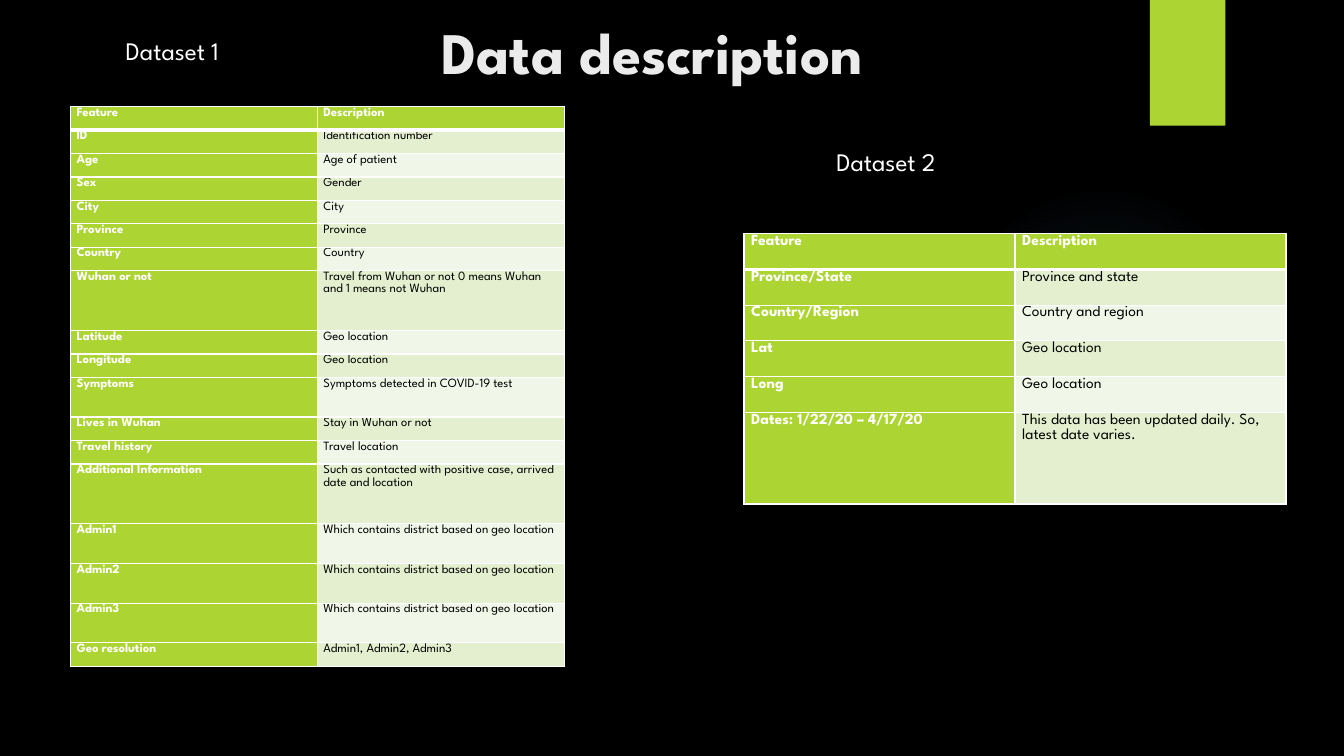
from lxml import etree
from pptx import Presentation, util as u
from pptx.dml.color import RGBColor
from pptx.enum import shapes, text
from pptx.oxml import parse_xml
from pptx.oxml.ns import nsdecls, qn

GREEN, WHITE, BLACK = "ACD433", "FFFFFF", "000000"
BANDS = ["E3EFCE", "F1F7E8"]
PATIENT_FEATURES = [
    ("Feature", "Description", 0.59),
    ("ID", "Identification number", 0.59),
    ("Age", "Age of patient", 0.59),
    ("Sex", "Gender", 0.59),
    ("City", "City", 0.59),
    ("Province", "Province", 0.59),
    ("Country", "Country", 0.59),
    ("Wuhan or not", "Travel from Wuhan or not 0 means Wuhan and 1 means not Wuhan", 1.51),
    ("Latitude", "Geo location", 0.59),
    ("Longitude", "Geo location", 0.59),
    ("Symptoms", "Symptoms detected in COVID-19 test", 1),
    ("Lives in Wuhan", "Stay in Wuhan or not", 0.59),
    ("Travel history", "Travel location", 0.59),
    ("Additional Information", "Such as contacted with positive case, arrived date and location", 1.51),
    ("Admin1", "Which contains district based on geo location", 1),
    ("Admin2", "Which contains district based on geo location", 1),
    ("Admin3", "Which contains district based on geo location", 1),
    ("Geo resolution", "Admin1, Admin2, Admin3", 0.59),
]
REGION_FEATURES = [
    ("Feature", "Description", 0.9),
    ("Province/State", "Province and state", 0.9),
    ("Country/Region", "Country and region", 0.9),
    ("Lat", "Geo location", 0.9),
    ("Long", "Geo location", 0.9),
    ("Dates: 1/22/20 – 4/17/20", "This data has been updated daily. So, latest date varies.", 2.31),
]


def colour(value):
    return RGBColor.from_string(value)


class Page:
    font = "League Spartan"

    def __init__(self, deck):
        self.slide = deck.slides.add_slide(deck.slide_layouts[5])
        fill = self.slide.background.fill
        fill.solid()
        fill.fore_color.rgb = colour(BLACK)

    def style(self, para, size, value, bold=False):
        for span in para.runs:
            span.font.name = self.font
            span.font.size = u.Pt(size)
            span.font.bold = bold
            span.font.color.rgb = colour(value)

    def shape(self, kind, left, top, width, height):
        shape = self.slide.shapes.add_shape(
            kind, u.Cm(left), u.Cm(top), u.Cm(width), u.Cm(height))
        shape.shadow.inherit = False
        shape.line.fill.background()
        shape.fill.solid()
        shape.fill.fore_color.rgb = colour(GREEN)
        return shape

    def glow(self, left, top, size, value):
        shape = self.shape(shapes.MSO_SHAPE.OVAL, left, top, size, size)
        stops = "".join(
            f'<a:gs pos="{place * 1000}"><a:srgbClr val="{value}">'
            f'<a:alpha val="{alpha * 1000}"/></a:srgbClr></a:gs>'
            for place, alpha in [(0, 7), (36, 6), (69, 0), (100, 0)])
        gradient = parse_xml(
            f'<a:gradFill {nsdecls("a")}><a:gsLst>{stops}</a:gsLst>'
            '<a:path path="circle"><a:fillToRect l="50000" t="50000" '
            'r="50000" b="50000"/></a:path></a:gradFill>')
        solid = shape.element.spPr.find(qn("a:solidFill"))
        solid.getparent().replace(solid, gradient)

    def tab(self, left, top, width, height):
        shape = self.shape(shapes.MSO_SHAPE.RECTANGLE, left, top, width, height)
        effects = shape.element.spPr.find(qn("a:effectLst"))
        effects.append(parse_xml(
            f'<a:outerShdw {nsdecls("a")} blurRad="38100" dist="25400" dir="5400000">'
            '<a:srgbClr val="000000"><a:alpha val="45000"/></a:srgbClr></a:outerShdw>'))

    def title(self, words, left, top, width, height):
        box = self.slide.shapes.title
        box.left, box.top = u.Cm(left), u.Cm(top)
        box.width, box.height = u.Cm(width), u.Cm(height)
        frame = box.text_frame
        frame.text = words
        frame.auto_size = text.MSO_AUTO_SIZE.NONE
        frame.vertical_anchor = text.MSO_ANCHOR.TOP
        frame.paragraphs[0].alignment = text.PP_ALIGN.LEFT
        self.style(frame.paragraphs[0], 42, "EBEBEB", True)

    def label(self, words, left, top, width):
        box = self.slide.shapes.add_textbox(u.Cm(left), u.Cm(top), u.Cm(width), u.Cm(1.03))
        frame = box.text_frame
        frame.text = words
        frame.word_wrap = True
        frame.auto_size = text.MSO_AUTO_SIZE.SHAPE_TO_FIT_TEXT
        self.style(frame.paragraphs[0], 18, WHITE)

    def borders(self, cell, bottom):
        properties = cell._tc.get_or_add_tcPr()
        sides = [("lnL", 1), ("lnR", 1), ("lnT", 1), ("lnB", bottom)]
        for place, (side, width) in enumerate(sides):
            line = etree.Element(qn(f"a:{side}"), w=str(u.Pt(width)))
            fill = etree.SubElement(line, qn("a:solidFill"))
            etree.SubElement(fill, qn("a:srgbClr"), val=WHITE)
            properties.insert(place, line)

    def table(self, rows, left, top, column, size, inset):
        height = sum(row[2] for row in rows)
        table = self.slide.shapes.add_table(
            len(rows), 2, u.Cm(left), u.Cm(top), u.Cm(2 * column), u.Cm(height)).table
        for part in table.columns:
            part.width = u.Cm(column)
        for row, (*words, row_height) in enumerate(rows):
            table.rows[row].height = u.Cm(row_height)
            for side, content in enumerate(words):
                strong = row == 0 or side == 0
                cell = table.cell(row, side)
                cell.margin_left = cell.margin_right = u.Cm(inset)
                cell.margin_top = cell.margin_bottom = 0
                cell.text_frame.text = content
                para = cell.text_frame.paragraphs[0]
                para.line_spacing = 1.07
                self.style(para, size, WHITE if strong else BLACK, strong)
                cell.fill.solid()
                cell.fill.fore_color.rgb = colour(GREEN if strong else BANDS[(row - 1) % 2])
                self.borders(cell, 3 if row == 0 else 1)


def main():
    deck = Presentation()
    deck.slide_width, deck.slide_height = u.Cm(33.87), u.Cm(19.05)
    page = Page(deck)
    page.glow(23.9, 4.65, 7.82, "7AC4F0")
    page.tab(28.98, 0, 1.9, 3.17)
    page.table(PATIENT_FEATURES, 1.78, 2.69, 6.22, 9, 0.15)
    page.table(REGION_FEATURES, 18.75, 5.89, 6.83, 11, 0.18)
    page.label("Dataset 1", 2.92, 0.76, 7.95)
    page.label("Dataset 2", 20.83, 3.56, 7.47)
    page.title("Data description", 10.87, 0.28, 26.14, 3.89)
    deck.save("out.pptx")


if __name__ == "__main__":
    main()
